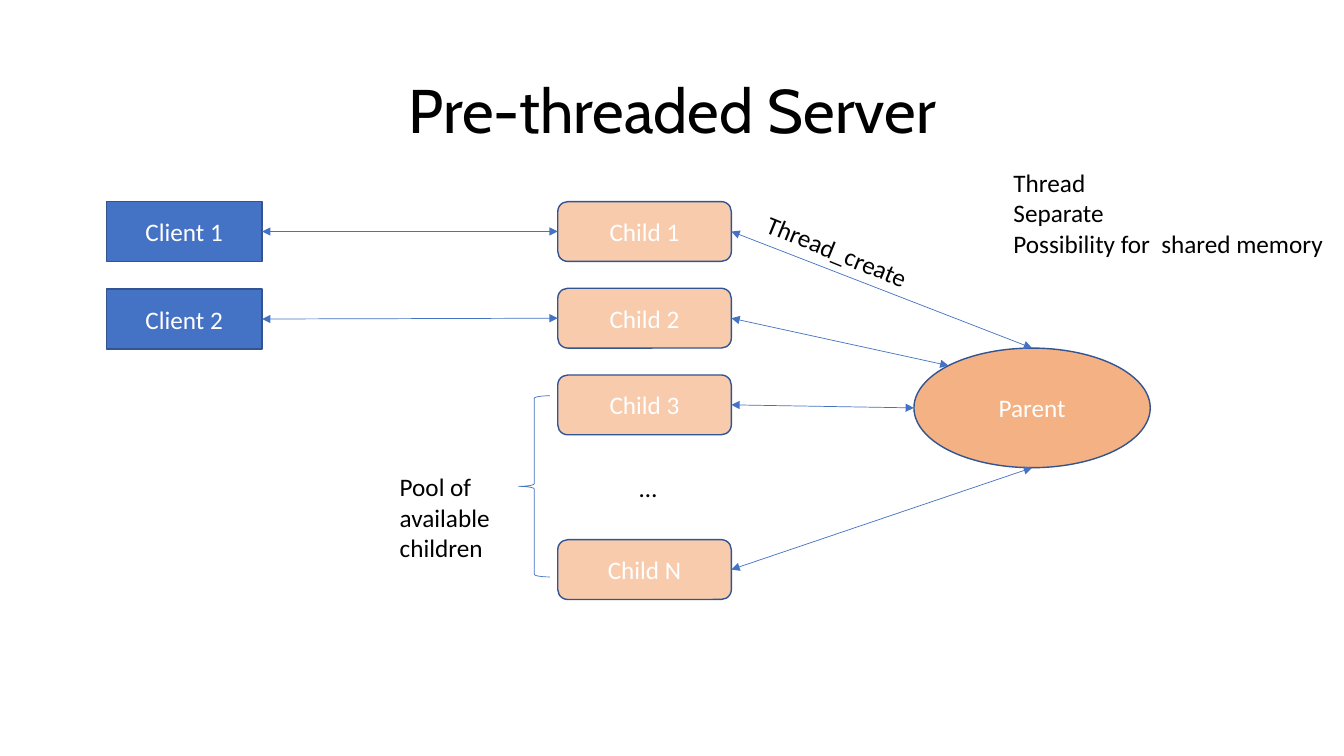
"""Build the pre-threaded server slide."""
from dataclasses import dataclass
from math import sqrt

from lxml import etree
from pptx import Presentation
from pptx.dml.color import RGBColor
from pptx.enum.shapes import MSO_CONNECTOR, MSO_SHAPE
from pptx.enum.text import MSO_ANCHOR, MSO_AUTO_SIZE, PP_ALIGN
from pptx.oxml.ns import qn
from pptx.util import Inches, Pt

STRAIGHT = MSO_CONNECTOR.STRAIGHT
RECTANGLE = MSO_SHAPE.RECTANGLE
ROUNDED = MSO_SHAPE.ROUNDED_RECTANGLE
OVAL = MSO_SHAPE.OVAL
LEFT_BRACE = MSO_SHAPE.LEFT_BRACE
MIDDLE = MSO_ANCHOR.MIDDLE
NO_AUTOFIT = MSO_AUTO_SIZE.NONE
GROW = MSO_AUTO_SIZE.SHAPE_TO_FIT_TEXT
CENTER = PP_ALIGN.CENTER
LEFT = PP_ALIGN.LEFT
TOP_SITE, LEFT_SITE, RIGHT_SITE = 0, 1, 3

SLIDE_WIDTH, SLIDE_HEIGHT = 13.33, 7.5
COLUMN = SLIDE_WIDTH / 12
FIRST_ROW, ROW = 2, 0.86
BOX_ROWS = 0.69
CLIENT_COLUMN, CLIENT_COLUMNS = 0.95, 1.39
CHILD_COLUMN, CHILD_COLUMNS = 4.98, 1.55
CLIENTS = {"Client 1": 0, "Client 2": 1.01}
CHILDREN = {"Child 1": 0, "Child 2": 1, "Child 3": 2, "Child N": 3.9}


@dataclass(frozen=True)
class Theme:
    """Colours, fonts and type sizes of the slide."""
    blue: str = "4472C4"
    outline: str = "325491"
    child: str = "F8CBAD"
    parent: str = "F4B183"
    light: str = "FFFFFF"
    dark: str = "000000"
    title_font: str = "Cabin"
    body_font: str = "Calibri"
    title_size: float = 44
    body_size: float = 18
    outline_width: float = 1
    thin_width: float = 0.5


THEME = Theme()


def place(column, row, columns, rows):
    """Turn a grid position into left, top, width and height."""
    return (Inches(column * COLUMN), Inches(FIRST_ROW + row * ROW),
            Inches(columns * COLUMN), Inches(rows * ROW))


def write(shape, text, color, alignment, font=THEME.body_font, size=THEME.body_size):
    """Write text into a shape and format all of its runs."""
    shape.text_frame.text = text
    for paragraph in shape.text_frame.paragraphs:
        paragraph.alignment = alignment
        for run in paragraph.runs:
            run.font.name = font
            run.font.size = Pt(size)
            run.font.color.rgb = RGBColor.from_string(color)


def set_line(line, color, width):
    """Give a line its colour and width."""
    line.color.rgb = RGBColor.from_string(color)
    line.width = Pt(width)


def add_title(slide, text):
    """Place and format the title placeholder."""
    title = slide.shapes.title
    title.left, title.top, title.width, title.height = place(0.83, -1.86, 10.35, 1.69)
    write(title, text, THEME.dark, CENTER, THEME.title_font, THEME.title_size)
    title.text_frame.auto_size = NO_AUTOFIT
    title.text_frame.vertical_anchor = MIDDLE
    title.text_frame.paragraphs[0].line_spacing = 0.9


def add_node(slide, kind, text, fill, area):
    """Add a filled shape with a centred label."""
    node = slide.shapes.add_shape(kind, *place(*area))
    node.shadow.inherit = False
    node.fill.solid()
    node.fill.fore_color.rgb = RGBColor.from_string(fill)
    set_line(node.line, THEME.outline, THEME.outline_width)
    write(node, text, THEME.light, CENTER)
    node.text_frame.vertical_anchor = MIDDLE
    return node


def add_label(slide, text, area, rotation=0, wrap=True):
    """Add a plain text box that grows with its text."""
    label = slide.shapes.add_textbox(*place(*area))
    label.rotation = rotation
    write(label, text, THEME.dark, LEFT)
    label.text_frame.word_wrap = wrap
    label.text_frame.auto_size = GROW


def add_brace(slide, area):
    """Add the brace around the pool of children."""
    brace = slide.shapes.add_shape(LEFT_BRACE, *place(*area))
    brace.shadow.inherit = False
    brace.fill.background()
    set_line(brace.line, THEME.blue, THEME.thin_width)


def add_arrow(slide, source, end=(0, 0), target=None, site=LEFT_SITE):
    """Add a two-headed arrow from a box's right side to a point or a shape."""
    arrow = slide.shapes.add_connector(STRAIGHT, 0, 0, *end)
    arrow.begin_connect(source, RIGHT_SITE)
    if target is not None:
        arrow.end_connect(target, site)
    set_line(arrow.line, THEME.blue, THEME.thin_width)
    line = arrow.line._get_or_add_ln()
    for tag in ("a:headEnd", "a:tailEnd"):
        etree.SubElement(line, qn(tag), type="triangle")
    etree.SubElement(line.getparent(), qn("a:effectLst"))


def ellipse_point(ellipse, across, down):
    """Find a point from the centre by shares of the two radii."""
    return (round(ellipse.left + ellipse.width * (1 + across) / 2),
            round(ellipse.top + ellipse.height * (1 + down) / 2))


def main():
    """Build and save the slide."""
    presentation = Presentation()
    presentation.slide_width = Inches(SLIDE_WIDTH)
    presentation.slide_height = Inches(SLIDE_HEIGHT)
    slide = presentation.slides.add_slide(presentation.slide_layouts[5])
    add_title(slide, "Pre-threaded Server")

    clients = [add_node(slide, RECTANGLE, name, THEME.blue,
                        (CLIENT_COLUMN, row, CLIENT_COLUMNS, BOX_ROWS))
               for name, row in CLIENTS.items()]
    children = [add_node(slide, ROUNDED, name, THEME.child,
                         (CHILD_COLUMN, row, CHILD_COLUMNS, BOX_ROWS))
                for name, row in CHILDREN.items()]
    parent = add_node(slide, OVAL, "Parent", THEME.parent, (8.16, 1.69, 2.11, 1.38))

    add_brace(slide, (4.63, 2.24, 0.28, 2.09))
    add_label(slide, "…", (5.62, 3.06, 0.28, 0.47))
    add_label(slide, "Pool of available children", (3.48, 3.06, 1.08, 1.17))

    for client, child in zip(clients, children):
        add_arrow(slide, client, target=child)
    add_arrow(slide, children[0], target=parent, site=TOP_SITE)
    diagonal = -sqrt(0.5)
    parent_points = ((diagonal, diagonal), (-1, 0), (0, 1))
    for child, point in zip(children[1:], parent_points):
        add_arrow(slide, child, ellipse_point(parent, *point))

    add_label(slide, "Thread_create", (6.72, 0.34, 1.52, 0.47), rotation=22.2, wrap=False)
    add_label(slide, "Thread\nSeparate\nPossibility for  shared memory",
              (8.96, -0.45, 3.04, 1.17))
    presentation.save("out.pptx")


if __name__ == "__main__":
    main()
